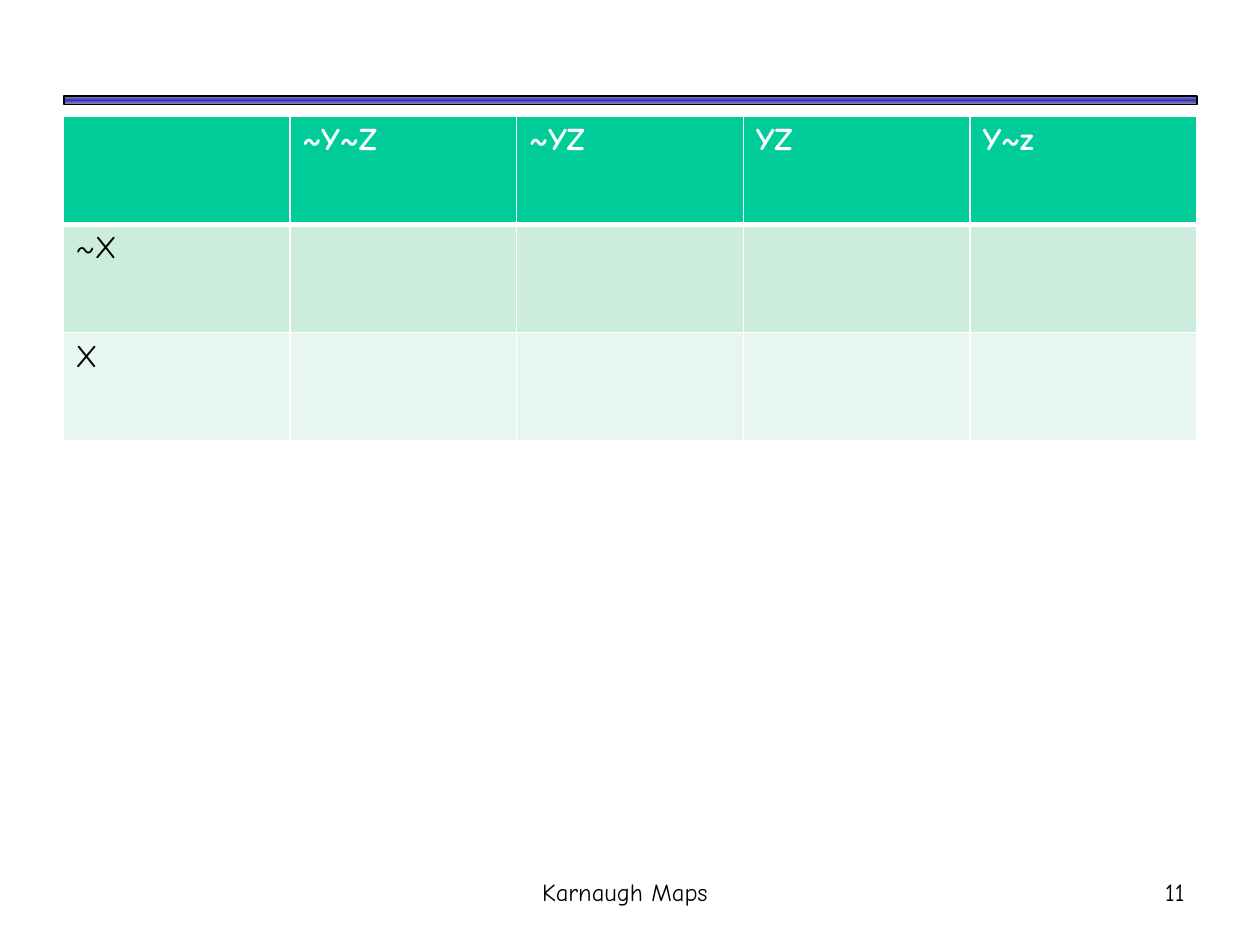
from copy import deepcopy

from lxml.etree import SubElement
from pptx import Presentation
from pptx.dml.color import RGBColor
from pptx.enum.shapes import MSO_SHAPE
from pptx.enum.text import MSO_ANCHOR, PP_ALIGN
from pptx.oxml.ns import qn
from pptx.util import Inches, Pt

FONT = "Comic Neue"


def color(hex_string):
    return RGBColor.from_string(hex_string)


def set_font(paragraph, size, hex_string, bold=False):
    paragraph.font.name = FONT
    paragraph.font.size = Pt(size)
    paragraph.font.bold = bold
    paragraph.font.color.rgb = color(hex_string)


presentation = Presentation()
presentation.slide_width = Inches(10)
presentation.slide_height = Inches(7.5)
slide = presentation.slides.add_slide(presentation.slide_layouts[6])
margin = presentation.slide_width * 0.05
content_width = presentation.slide_width * 0.9

# Gradient rule above the table
rule = slide.shapes.add_shape(MSO_SHAPE.RECTANGLE, Inches(0.51), Inches(0.76),
                              Inches(8.99), Inches(0.07))
rule.shadow.inherit = False
rule.line.color.rgb = color("000000")
rule.line.width = Pt(1)
rule.fill.gradient()
rule.fill.gradient_angle = 90
first_stop = rule.fill._fill._gradFill.gsLst[0]
first_stop.addnext(deepcopy(first_stop))
for stop, position, shade in zip(rule.fill.gradient_stops, (0, 0.5, 1),
                                 ("969696", "3333CC", "969696")):
    stop.position = position
    stop.color.rgb = color(shade)

# Karnaugh map: header row, then one row for each value of X
rows = [["", "~Y~Z", "~YZ", "YZ", "Y~z"], ["~X"] + [""] * 4, ["X"] + [""] * 4]
row_fills = ["00CC99", "CCECDE", "E7F6EF"]
row_height = Inches(0.86)
table = slide.shapes.add_table(len(rows), len(rows[0]), int(margin), Inches(0.92),
                               int(content_width), row_height * len(rows)).table
for row_index, (labels, row_fill) in enumerate(zip(rows, row_fills)):
    table.rows[row_index].height = row_height
    is_header = row_index == 0
    for column_index, label in enumerate(labels):
        cell = table.cell(row_index, column_index)
        cell.text = label
        set_font(cell.text_frame.paragraphs[0], 18,
                 "FFFFFF" if is_header else "000000", is_header)

        # White borders, thicker under the header
        borders = {"lnL": 1, "lnR": 1, "lnT": 3 if row_index == 1 else 1,
                   "lnB": 3 if is_header else 1}
        for side, width in borders.items():
            border = SubElement(cell._tc.get_or_add_tcPr(), qn(f"a:{side}"),
                                w=str(Pt(width)))
            border_fill = SubElement(border, qn("a:solidFill"))
            SubElement(border_fill, qn("a:srgbClr"), val="FFFFFF")
        cell.fill.solid()
        cell.fill.fore_color.rgb = color(row_fill)

# Footer and slide number
for text, left, width, alignment in (("Karnaugh Maps", 3, 3.92, PP_ALIGN.CENTER),
                                     ("11", 7.42, 2.08, PP_ALIGN.RIGHT)):
    footer = slide.shapes.add_textbox(Inches(left), Inches(6.83),
                                      Inches(width), Inches(0.5))
    footer.text_frame.word_wrap = True
    footer.text_frame.vertical_anchor = MSO_ANCHOR.MIDDLE
    paragraph = footer.text_frame.paragraphs[0]
    paragraph.text = text
    paragraph.alignment = alignment
    set_font(paragraph, 14, "000000")

presentation.save("out.pptx")
